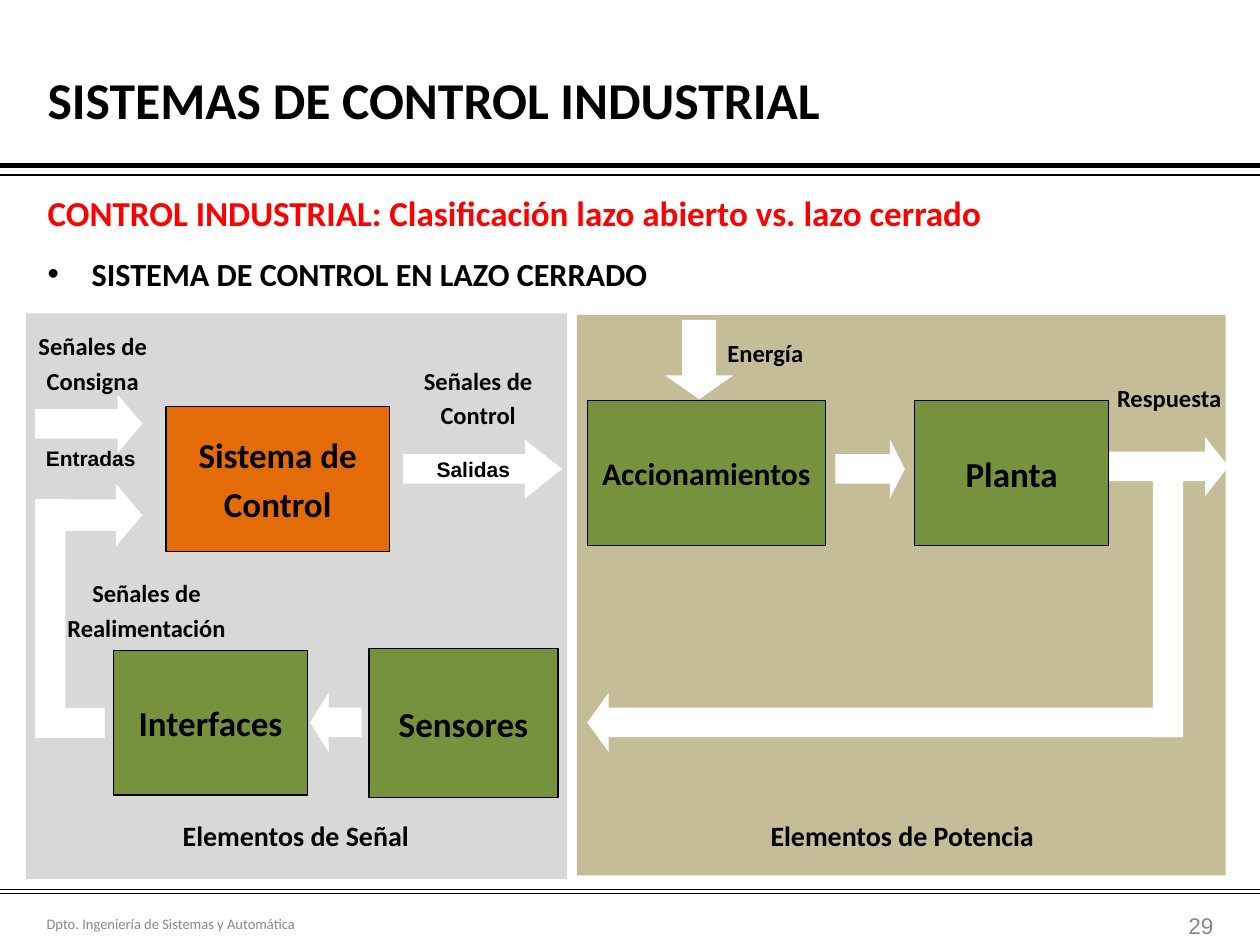
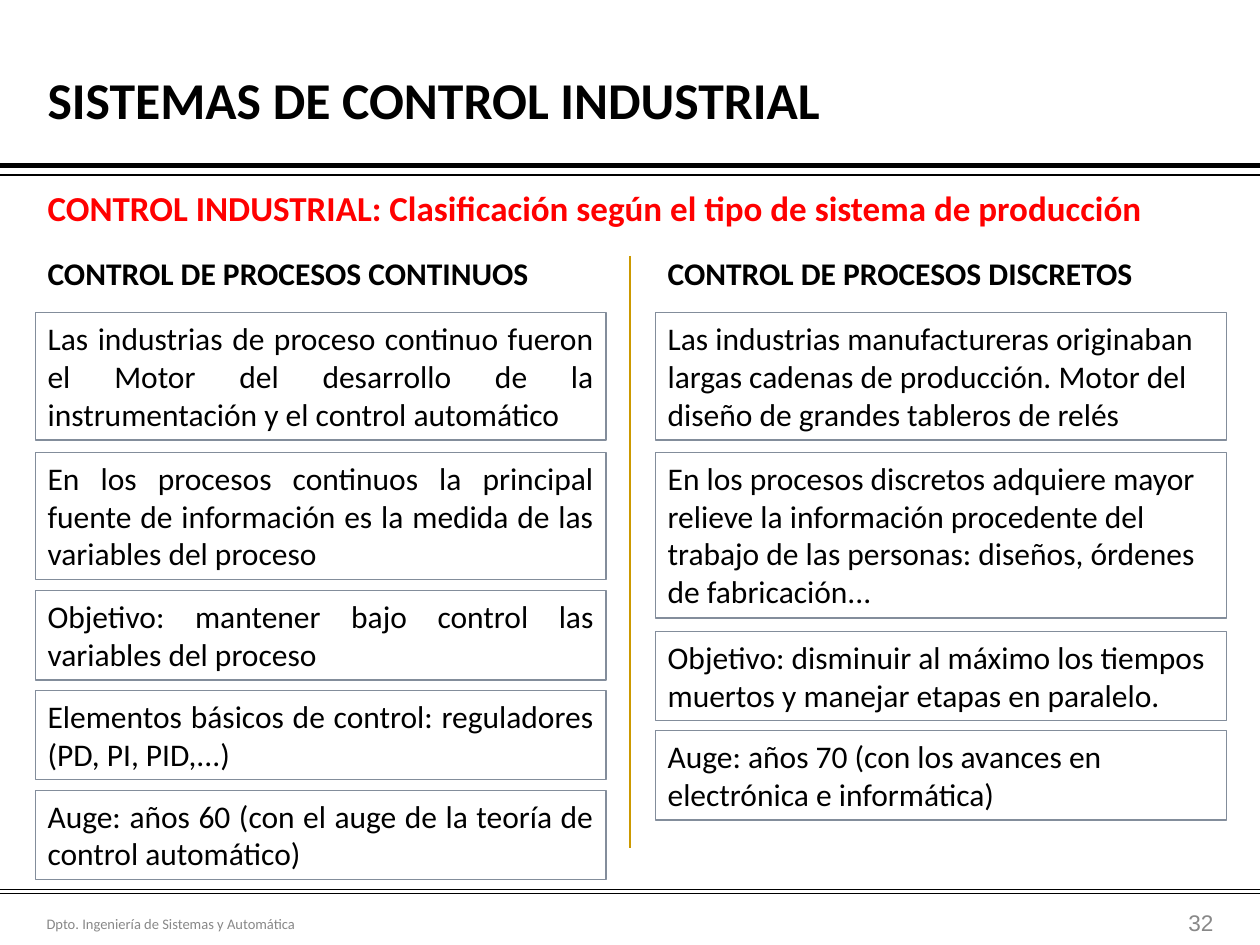
from lxml import etree
from pptx import Presentation
from pptx.dml.color import RGBColor
from pptx.enum.shapes import MSO_CONNECTOR, MSO_SHAPE
from pptx.enum.text import MSO_ANCHOR, PP_ALIGN
from pptx.oxml.ns import qn
from pptx.util import Cm, Pt

RECT, RIGHT = MSO_SHAPE.RECTANGLE, MSO_SHAPE.RIGHT_ARROW
LEFT_ARROW, DOWN = MSO_SHAPE.LEFT_ARROW, MSO_SHAPE.DOWN_ARROW
STRAIGHT = MSO_CONNECTOR.STRAIGHT
TOP, MIDDLE = MSO_ANCHOR.TOP, MSO_ANCHOR.MIDDLE
LEFT, CENTER, END, JUSTIFY = (PP_ALIGN.LEFT, PP_ALIGN.CENTER,
                              PP_ALIGN.RIGHT, PP_ALIGN.JUSTIFY)

COLORS = {
    "black": "000000", "white": "FFFFFF", "red": "FF0000", "grey": "888888",
    "gold": "CC9900", "border": "838D9B", "sand": "C4BD97", "silver": "D8D8D8",
    "orange": "E36C09", "green": "76923C",
}
RGB = {name: RGBColor.from_string(value) for name, value in COLORS.items()}


def write(sp, text, size, bold=True, color="black", font="Calibri",
          align=LEFT, anchor=TOP, wrap=True, gap=0):
    """Fill a shape with one paragraph per line of text."""
    tf = sp.text_frame
    tf.text = text
    tf.word_wrap = wrap
    tf.vertical_anchor = anchor
    tf.margin_left = tf.margin_right = Cm(0.25)
    tf.margin_top = tf.margin_bottom = Cm(0.13)
    for i, p in enumerate(tf.paragraphs):
        p.alignment = align
        if i:
            p.space_before = Pt(gap)
        p.font.size, p.font.bold, p.font.name = Pt(size), bold, font
        p.font.color.rgb = RGB[color]
    return tf


def add_box(s, kind, at, fill=None, line=None):
    """Add a preset shape, or a text box when kind is None."""
    at = [Cm(v) for v in at]
    if kind is None:
        return s.shapes.add_textbox(*at)
    sp = s.shapes.add_shape(kind, *at)
    sp.shadow.inherit = False
    if fill:
        sp.fill.solid()
        sp.fill.fore_color.rgb = RGB[fill]
    else:
        sp.fill.background()
    if line:
        sp.line.color.rgb = RGB[line]
        sp.line.width = Pt(0.75)
    else:
        sp.line.fill.background()
    return sp


prs = Presentation()
prs.slide_width, prs.slide_height = Cm(25.4), Cm(19.05)

# Shared frame: x1, y1, x2, y2, colour, width
frame_lines = [(0, y, 25.4, y, "black", w)
               for y, w in ((3.33, 3), (3.53, 0.75), (17.93, 0.75), (18.01, 0.75))]
divider = (12.7, 5.16, 12.7, 17.09, "gold", 1)
pages = [
    ("Clasificación lazo abierto vs. lazo cerrado", "29", 18.31, 1, []),
    ("Clasificación según el tipo de sistema de producción", "32", 18.24, 0.9,
     [divider]),
]
slides = []
for topic, number, number_top, spacing, extra_lines in pages:
    s = prs.slides.add_slide(prs.slide_layouts[5])
    slides.append(s)
    for x1, y1, x2, y2, color, width in frame_lines + extra_lines:
        ln = s.shapes.add_connector(STRAIGHT, Cm(x1), Cm(y1), Cm(x2), Cm(y2))
        ln.line.color.rgb = RGB[color]
        ln.line.width = Pt(width)
        etree.SubElement(ln._element.spPr, qn("a:effectLst"))

    title = s.shapes.title
    title.left, title.top, title.width, title.height = Cm(0.71), Cm(0.74), Cm(24), Cm(2.49)
    write(title, "SISTEMAS DE CONTROL INDUSTRIAL", 29.5, anchor=MIDDLE)

    tf = write(add_box(s, None, (0.71, 3.73, 24, 1.09)),
               "CONTROL INDUSTRIAL: " + topic, 20, color="red")
    tf.paragraphs[0].line_spacing = spacing
    write(add_box(s, None, (0.71, 18.11, 9.4, 1.02)),
          "Dpto. Ingeniería de Sistemas y Automática", 8.3, False, "grey",
          anchor=MIDDLE).margin_left = Cm(0.23)
    write(add_box(s, None, (22.71, number_top, 2, 0.71)), number, 12.9, False,
          "grey", "Arial", END, MIDDLE)

loop_slide, process_slide = slides

# Closed loop: bulleted heading
tf = write(add_box(loop_slide, None, (0.71, 5, 24, 1.1)),
           "SISTEMA DE CONTROL EN LAZO CERRADO", 18.4)
pPr = tf.paragraphs[0]._p.get_or_add_pPr()
pPr.set("marL", str(Cm(0.89)))
pPr.set("indent", str(-Cm(0.89)))
bullet_font = etree.Element(qn("a:buFont"), typeface="Arial")
bullet = etree.Element(qn("a:buChar"), char="•")
pPr.insert_element_before(bullet_font, "a:tabLst", "a:defRPr", "a:extLst")
pPr.insert_element_before(bullet, "a:tabLst", "a:defRPr", "a:extLst")

# Closed loop: background zones
add_box(loop_slide, RECT, (11.63, 6.35, 13.08, 11.3), "sand")
add_box(loop_slide, RECT, (0.53, 6.32, 10.9, 11.4), "silver")

# Closed loop: arrows, with the length of the head and the text inside
arrows = [
    (RIGHT, (0.71, 7.95, 2.16, 1.19), 0.42, ""),
    (RIGHT, (8.13, 8.86, 3.2, 1.19), 0.63, "Salidas"),
    (DOWN, (13.41, 6.45, 1.37, 1.6), 0.35, ""),
    (RIGHT, (16.84, 8.86, 1.4, 1.19), 0.25, ""),
    (RIGHT, (1.09, 9.75, 1.78, 1.27), 0.42, ""),
    (LEFT_ARROW, (6.25, 13.97, 1.04, 1.19), 0.36, ""),
    (LEFT_ARROW, (11.84, 13.97, 11.96, 1.19), 0.36, ""),
    (RIGHT, (22.05, 8.81, 2.72, 1.19), 0.4, ""),
]
for kind, at, head, text in arrows:
    sp = add_box(loop_slide, kind, at, "white")
    sp.adjustments[1] = head
    if text:
        write(sp, text, 12, font="Arial", align=CENTER, anchor=MIDDLE, wrap=False)

# Closed loop: bars that carry the feedback
for at in ((0.71, 10.06, 0.61, 4.22), (0.71, 14.27, 1.4, 0.61),
           (23.24, 9.55, 0.61, 5.31)):
    add_box(loop_slide, RECT, at, "white")

# Closed loop: blocks
blocks = [
    ("Sistema de\nControl", (3.35, 8.2, 4.5, 2.92), "orange", 20),
    ("Accionamientos", (11.84, 8.08, 4.8, 2.92), "green", 18),
    ("Planta", (18.44, 8.08, 3.91, 2.92), "green", 20),
    ("Interfaces", (2.29, 13.11, 3.91, 2.92), "green", 20),
    ("Sensores", (7.44, 13.08, 3.81, 3), "green", 20),
]
for text, at, fill, size in blocks:
    write(add_box(loop_slide, RECT, at, fill, "black"), text, size,
          align=CENTER, anchor=MIDDLE, wrap=False, gap=4)

# Closed loop: labels
labels = [
    ("Señales de\nConsigna", (0.51, 6.55, 2.72, 1.57), 14, "Calibri"),
    ("Entradas", (0.66, 8.86, 2.34, 0.76), 12, "Arial"),
    ("Señales de\nControl", (8.28, 7.24, 2.72, 1.57), 14, "Calibri"),
    ("Señales de\nRealimentación", (1.09, 11.53, 3.73, 1.57), 14, "Calibri"),
    ("Energía", (14.4, 6.68, 2.06, 0.86), 14, "Calibri"),
    ("Respuesta", (22.25, 7.59, 2.64, 0.86), 14, "Calibri"),
    ("Elementos de Señal", (3.4, 16.38, 5.13, 0.94), 16, "Calibri"),
    ("Elementos de Potencia", (15.14, 16.38, 6.1, 0.94), 16, "Calibri"),
]
for text, at, size, font in labels:
    write(add_box(loop_slide, None, at), text, size, font=font,
          align=CENTER, wrap=False, gap=2.8)

# Production types: one column each, boxes as top, number of lines, text
columns = [
    (0.71, "CONTROL DE PROCESOS CONTINUOS", JUSTIFY, [
        (6.3, 3, "Las industrias de proceso continuo fueron el Motor del desarrollo "
                 "de la instrumentación y el control automático"),
        (9.12, 3, "En los procesos continuos la principal fuente de información "
                  "es la medida de las variables del proceso"),
        (11.91, 2, "Objetivo: mantener bajo control las variables del proceso"),
        (13.92, 2, "Elementos básicos de control: reguladores (PD, PI, PID,...)"),
        (15.93, 2, "Auge: años 60 (con el auge de la teoría de control automático)"),
    ]),
    (13.21, "CONTROL DE PROCESOS DISCRETOS", LEFT, [
        (6.3, 3, "Las industrias manufactureras originaban largas cadenas de "
                 "producción. Motor del diseño de grandes tableros de relés"),
        (9.12, 4, "En los procesos discretos adquiere mayor relieve la información "
                  "procedente del trabajo de las personas: diseños, órdenes de "
                  "fabricación..."),
        (12.73, 2, "Objetivo: disminuir al máximo los tiempos muertos y manejar "
                   "etapas en paralelo."),
        (14.73, 2, "Auge: años 70 (con los avances en electrónica e informática)"),
    ]),
]
for left, heading, align, boxes in columns:
    write(add_box(process_slide, None, (left, 5, 10.3, 1.02)), heading, 18)
    for top, lines, text in boxes:
        sp = add_box(process_slide, RECT, (left, top, 11.51, 0.26 + 0.77 * lines),
                     line="border")
        write(sp, text, 18, bold=False, align=align)

prs.save("out.pptx")
